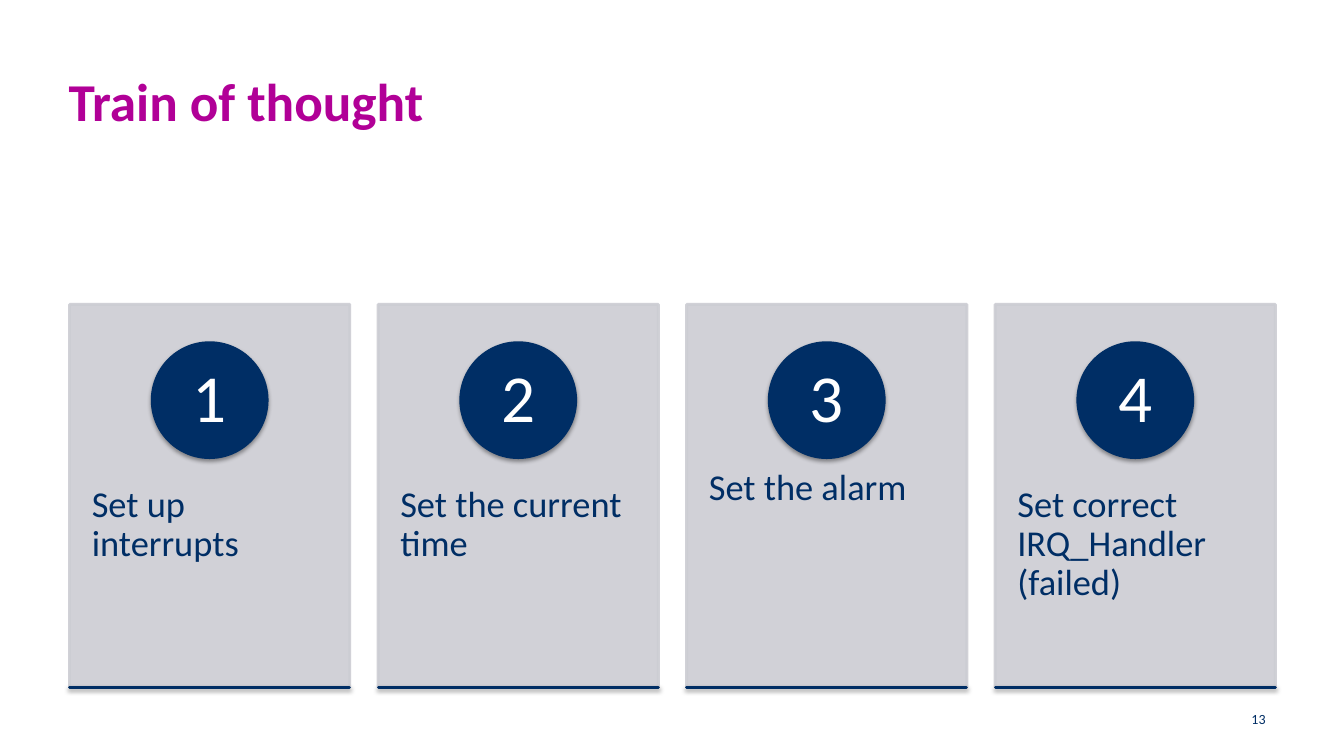
"""Builds the "Train of thought" slide with four numbered step cards."""
from dataclasses import dataclass

from lxml.etree import SubElement
from pptx import Presentation
from pptx.dml.color import RGBColor
from pptx.enum.shapes import MSO_SHAPE
from pptx.enum.text import MSO_ANCHOR, PP_ALIGN
from pptx.oxml.ns import qn
from pptx.util import Inches, Pt


@dataclass(frozen=True)
class Theme:
    font: str = "Calibri"
    navy: str = "002E65"
    magenta: str = "B10097"
    grey: str = "CCCDD3"
    white: str = "FFFFFF"
    shadow: str = "000000"
    title_size: int = 38
    number_size: int = 48
    step_size: int = 26
    page_size: int = 10


class StepSlide:
    def __init__(self, deck, theme):
        self.theme = theme
        self.slide = deck.slides.add_slide(deck.slide_layouts[5])

    def set_text(self, holder, text, size, color, align=PP_ALIGN.LEFT,
                 anchor=MSO_ANCHOR.TOP, insets=(0.1, 0.05), bold=False, spacing=1.0):
        frame = holder.text_frame
        frame.text = text
        frame.word_wrap = True
        frame.vertical_anchor = anchor
        frame.margin_left = frame.margin_right = Inches(insets[0])
        frame.margin_top = frame.margin_bottom = Inches(insets[1])
        paragraph = frame.paragraphs[0]
        paragraph.alignment = align
        paragraph.line_spacing = spacing
        font = paragraph.runs[0].font
        font.name, font.size, font.bold = self.theme.font, Pt(size), bold
        font.color.rgb = RGBColor.from_string(color)

    def title(self, text, box):
        heading = self.slide.shapes.title
        heading.left, heading.top, heading.width, heading.height = map(Inches, box)
        self.set_text(heading, text, self.theme.title_size, self.theme.magenta,
                      insets=(0, 0), bold=True)

    def label(self, shapes, text, box, size, color, **style):
        self.set_text(shapes.add_textbox(*map(Inches, box)), text, size, color, **style)

    def block(self, shapes, kind, box, color, opacity=100, shadow=False):
        block = shapes.add_shape(kind, *map(Inches, box))
        block.shadow.inherit = False
        block.fill.solid()
        block.fill.fore_color.rgb = RGBColor.from_string(color)
        block.line.color.rgb = RGBColor.from_string(color)
        block.line.width = Pt(2)
        properties = block.element.spPr
        if opacity < 100:
            for tint in list(properties.iter(qn("a:srgbClr"))):
                SubElement(tint, qn("a:alpha"), val=str(opacity * 1000))
        if shadow:
            outer = SubElement(properties.find(qn("a:effectLst")), qn("a:outerShdw"),
                               blurRad=str(Pt(3.1)), dist=str(Pt(1.6)),
                               dir="5400000", rotWithShape="0")
            shade = SubElement(outer, qn("a:srgbClr"), val=self.theme.shadow)
            SubElement(shade, qn("a:alpha"), val="38000")

    def card(self, left, number, step):
        theme = self.theme
        shapes = self.slide.shapes.add_group_shape().shapes
        width, circle, digit = 2.78, 1.14, 0.81
        middle = left + width / 2
        self.block(shapes, MSO_SHAPE.RECTANGLE, (left, 3.02, width, 3.8),
                   theme.grey, opacity=90)
        self.label(shapes, step, (left, 4.46, width, 2.28), theme.step_size,
                   theme.navy, insets=(0.22, 0.36), spacing=0.9)
        self.block(shapes, MSO_SHAPE.OVAL, (middle - circle / 2, 3.4, circle, circle),
                   theme.navy, shadow=True)
        self.label(shapes, str(number), (middle - digit / 2, 3.57, digit, digit),
                   theme.number_size, theme.white, align=PP_ALIGN.CENTER,
                   anchor=MSO_ANCHOR.MIDDLE, insets=(0.09, 0.01), spacing=0.9)
        self.block(shapes, MSO_SHAPE.RECTANGLE, (left, 6.82, width, 0),
                   theme.navy, shadow=True)

    def page_number(self, text):
        self.label(self.slide.shapes, text, (9.76, 6.93, 2.89, 0.4),
                   self.theme.page_size, self.theme.navy,
                   align=PP_ALIGN.RIGHT, anchor=MSO_ANCHOR.MIDDLE)


def main():
    deck = Presentation()
    deck.slide_width, deck.slide_height = Inches(13.33), Inches(7.5)
    page = StepSlide(deck, Theme())
    page.title("Train of thought", (0.68, 0.68, 11.97, 0.87))
    page.page_number("13")
    steps = ("Set up interrupts", "Set the current time", "Set the alarm",
             "Set correct IRQ_Handler (failed)")
    for index, step in enumerate(steps):
        page.card(0.69 + 3.06 * index, index + 1, step)
    deck.save("out.pptx")


if __name__ == "__main__":
    main()
